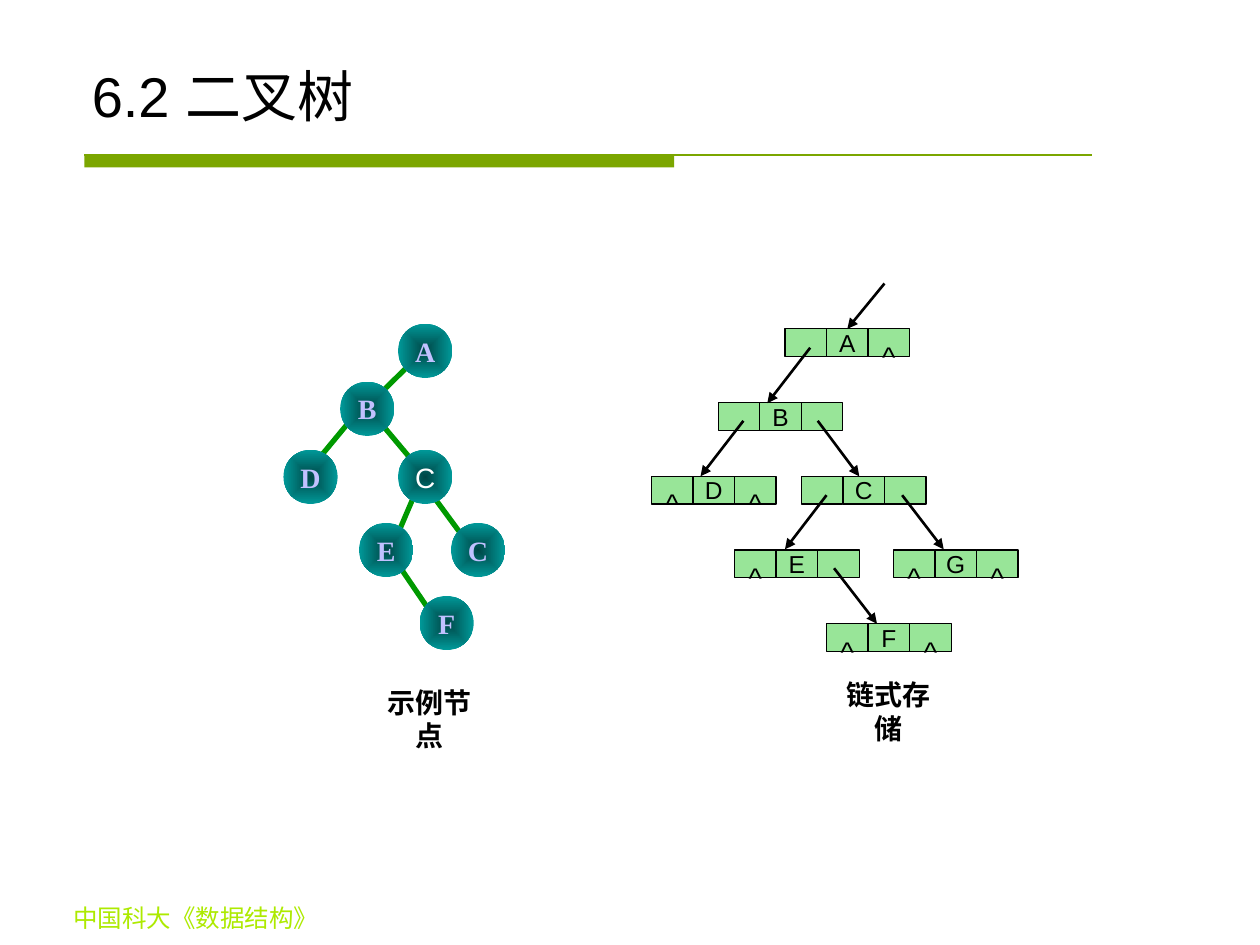
import pptx
import pptx.dml.color
import pptx.enum.dml
import pptx.enum.shapes
import pptx.enum.text
import pptx.oxml
import pptx.oxml.ns
import pptx.util
from pptx.util import Inches

ALIGN = pptx.enum.text.PP_ALIGN
ANCHOR = pptx.enum.text.MSO_ANCHOR
SHAPE = pptx.enum.shapes.MSO_SHAPE
STRAIGHT = pptx.enum.shapes.MSO_CONNECTOR.STRAIGHT
NAMESPACE = pptx.oxml.ns.nsdecls("a")


def color(value):
    return pptx.dml.color.RGBColor.from_string(value)


def write(shape, text, size=16, font="Arial", fill="000000", bold=False,
          align=ALIGN.CENTER, anchor=ANCHOR.MIDDLE, wrap=False, baseline=0):
    frame = shape.text_frame
    frame.word_wrap = wrap
    frame.vertical_anchor = anchor
    paragraph = frame.paragraphs[0]
    paragraph.alignment = align
    run = paragraph.add_run()
    run.text = text
    run.font.size = pptx.util.Pt(size)
    run.font.bold = bold
    run.font.color.rgb = color(fill)
    run.font.name = font
    properties = run.font._element
    properties.append(pptx.oxml.parse_xml(
        f'<a:ea {NAMESPACE} typeface="Noto Sans CJK SC"/>'))
    if baseline:
        properties.set("baseline", str(baseline * 1000))


presentation = pptx.Presentation()
presentation.slide_width = Inches(10)
presentation.slide_height = Inches(7.5)
slide = presentation.slides.add_slide(presentation.slide_layouts[6])
shapes = slide.shapes

bar = shapes.add_shape(SHAPE.RECTANGLE, Inches(0.67), Inches(1.23), Inches(4.68), Inches(0.1))
bar.shadow.inherit = False
bar.fill.solid()
bar.fill.fore_color.rgb = color("7BA600")
bar.line.fill.background()
rule = shapes.add_connector(STRAIGHT, Inches(0.67), Inches(1.23), Inches(8.67), Inches(1.23))
rule.line.color.rgb = color("7BA600")
rule.line.width = pptx.util.Pt(0.75)

text_boxes = [
    ("中国科大《数据结构》", (0, 7.12, 3.11, 0.34),
     dict(size=14, font="Times New Roman", fill="ADEA00", anchor=ANCHOR.TOP, wrap=True)),
    ("6.2 二叉树", (0.63, 0.33, 8.75, 0.74),
     dict(size=32, align=ALIGN.LEFT, anchor=ANCHOR.BOTTOM, wrap=True)),
    ("链式存储", (6.51, 5.33, 1.08, 0.37), dict(bold=True, anchor=ANCHOR.TOP)),
    ("示例节点", (2.87, 5.39, 1.08, 0.37), dict(bold=True, anchor=ANCHOR.TOP)),
]
for text, position, style in text_boxes:
    write(shapes.add_textbox(*map(Inches, position)), text, **style)

tree_edges = [
    (3.5, 2.65, 3, 3.14), (2.94, 3.26, 3.41, 3.82), (2.77, 3.35, 2.34, 3.87),
    (3.16, 4.48, 3.5, 4.98), (3.41, 3.9, 3.8, 4.43), (3.28, 3.95, 3.02, 4.56),
]
for ends in tree_edges:
    edge = shapes.add_connector(STRAIGHT, *map(Inches, ends))
    edge.line.color.rgb = color("009900")
    edge.line.width = pptx.util.Pt(3)

serif = dict(font="Times New Roman", fill="C1C1FF", bold=True)
tree_nodes = [
    ("F", 3.33, 4.73, serif), ("E", 2.85, 4.15, serif), ("C", 3.58, 4.15, serif),
    ("D", 2.25, 3.57, serif), ("C", 3.16, 3.57, dict(fill="FFFFFF")),
    ("B", 2.7, 3.03, serif), ("A", 3.16, 2.57, serif),
]
for letter, left, top, style in tree_nodes:
    node = shapes.add_shape(SHAPE.OVAL, Inches(left), Inches(top), Inches(0.43), Inches(0.43))
    node.shadow.inherit = False
    node.line.fill.background()
    node.fill.gradient()
    for stop, value in zip(node.fill.gradient_stops, ("004646", "009999")):
        stop.color.rgb = color(value)
    linear = node._element.spPr.find(".//" + pptx.oxml.ns.qn("a:lin"))
    linear.getparent().replace(linear, pptx.oxml.parse_xml(
        f'<a:path {NAMESPACE} path="rect">'
        '<a:fillToRect l="50000" t="50000" r="50000" b="50000"/></a:path>'))
    write(node, letter, **style)

cell_width = 0.33
records = [
    (6.23, 0, " A^"), (5.7, 1, " B "), (5.17, 2, "^D^"), (6.36, 2, " C "),
    (5.83, 3, "^E "), (7.09, 3, "^G^"), (6.56, 4, "^F^"),
]
letter_cells = {}
for left, level, fields in records:
    for column, field in enumerate(fields):
        cell = shapes.add_shape(
            SHAPE.RECTANGLE, Inches(left + column * cell_width),
            Inches(2.61 + level * 0.585), Inches(cell_width), Inches(0.22))
        cell.shadow.inherit = False
        cell.fill.solid()
        cell.fill.fore_color.rgb = color("33CC33")
        cell._element.spPr.find(".//" + pptx.oxml.ns.qn("a:srgbClr")).append(
            pptx.oxml.parse_xml(f'<a:alpha {NAMESPACE} val="50000"/>'))
        cell.line.color.rgb = color("000000")
        cell.line.width = pptx.util.Pt(0.75)
        if field == "^":
            write(cell, field, size=28, baseline=-12)
        elif field != " ":
            write(cell, field, size=14)
            letter_cells[field] = cell

pointers = [
    (7.02, 2.25, 6.72, 2.62), (6.43, 2.76, 6.09, 3.2), (5.9, 3.34, 5.56, 3.78),
    (6.49, 3.34, 6.82, 3.78), (7.16, 3.93, 7.49, 4.36), (6.56, 3.93, 6.23, 4.36),
    (6.62, 4.51, 6.96, 4.95),
]
for index, ends in enumerate(pointers):
    pointer = shapes.add_connector(STRAIGHT, *map(Inches, ends))
    pointer.line.color.rgb = color("000000")
    pointer.line.width = pptx.util.Pt(1.5)
    pointer.line._get_or_add_ln().append(
        pptx.oxml.parse_xml(f'<a:tailEnd {NAMESPACE} type="triangle"/>'))
    if index == 0:
        pointer.end_connect(letter_cells["A"], 0)

for shape in shapes:
    if shape.shape_type == pptx.enum.shapes.MSO_SHAPE_TYPE.LINE:
        shape._element.spPr.append(pptx.oxml.parse_xml(f"<a:effectLst {NAMESPACE}/>"))

presentation.save("out.pptx")
